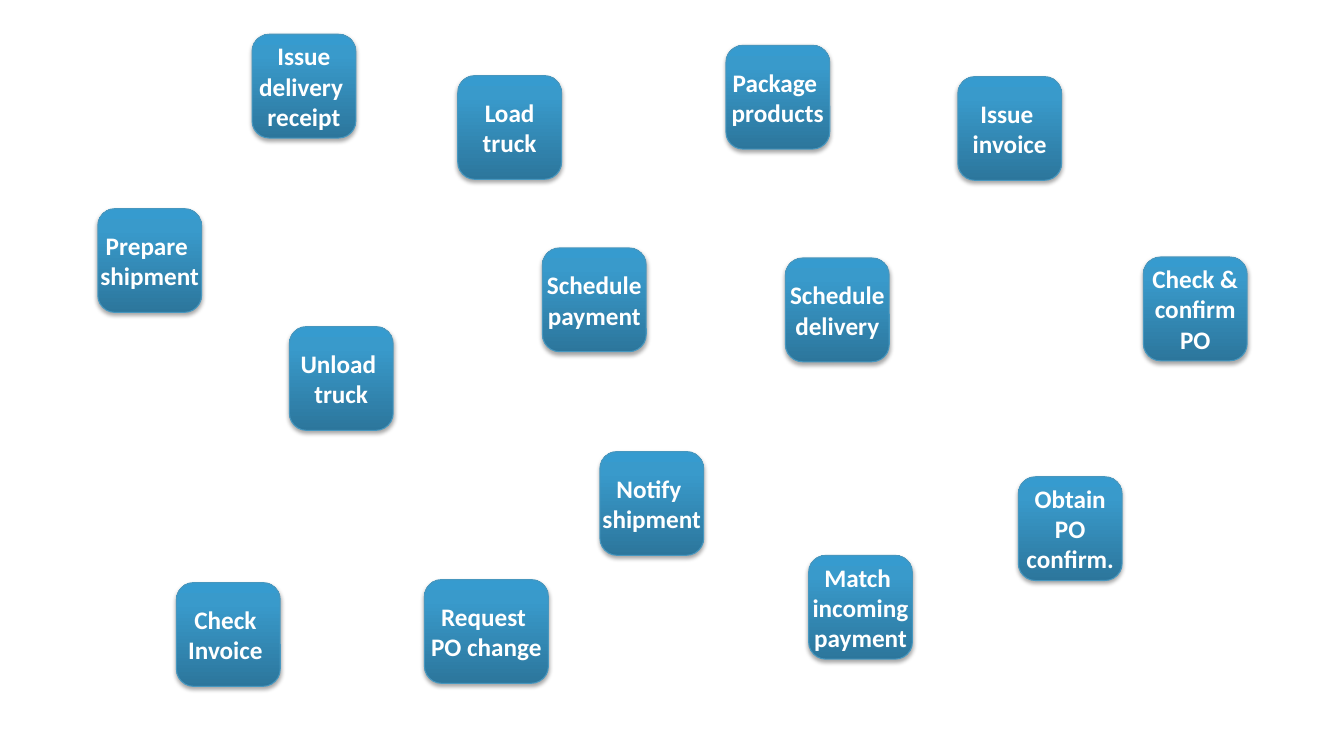
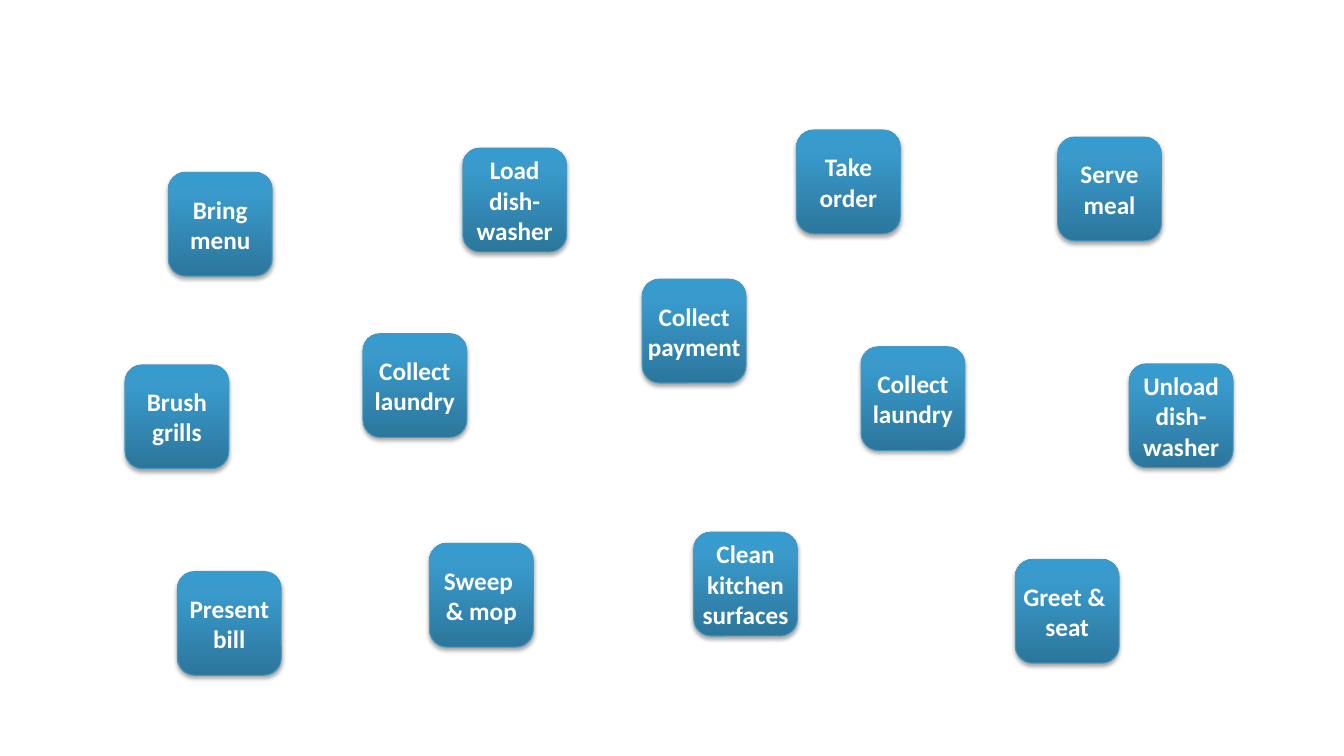
from copy import deepcopy

from lxml import etree
from pptx import Presentation
from pptx.dml.color import RGBColor
from pptx.enum.shapes import MSO_SHAPE
from pptx.enum.text import MSO_ANCHOR, PP_ALIGN
from pptx.oxml.ns import qn
from pptx.util import Inches, Pt

ROUNDED = MSO_SHAPE.ROUNDED_RECTANGLE
MIDDLE = MSO_ANCHOR.MIDDLE
CENTER = PP_ALIGN.CENTER
BLANK_LAYOUT = 6

# Shared card style
CARD_WIDTH, CARD_HEIGHT = 1.03, 1.03
WIDE_CARD = 1.23
GRADIENT = [(0, "2C769C"), (0.8, "399ACB"), (1, "369BCF")]
OUTLINE = "4797BF"
SHADOW = "000000"
TEXT_COLOR = "FFFFFF"
TEXT_FORMAT = {"name": "Calibri", "size": Pt(18), "bold": True}

# Cards: left, top, label (\n starts a paragraph, \v breaks a line), width if wide
ORDER_TASKS = [
    (10.1, 4.73, "Obtain\nPO\nconfirm."),
    (0.97, 2.07, "Prepare \nshipment"),
    (7.79, 2.56, "Schedule\ndelivery"),
    (9.5, 0.76, "Issue \ninvoice"),
    (1.75, 5.78, "Check \nInvoice "),
    (4.54, 0.75, "Load\ntruck"),
    (11.34, 2.55, "Check &\nconfirm\vPO"),
    (5.95, 4.48, "Notify \nshipment"),
    (2.87, 3.24, "Unload \ntruck"),
    (7.2, 0.45, "Package \nproducts"),
    (2.5, 0.34, "Issue\ndelivery \nreceipt"),
    (4.21, 5.75, "Request \nPO change", WIDE_CARD),
    (8.02, 5.51, "Match \nincoming\npayment"),
    (5.38, 2.46, "Schedule\npayment"),
]
RESTAURANT_TASKS = [
    (10.07, 5.55, "Greet & \nseat"),
    (1.67, 1.71, "Bring\nmenu"),
    (7.9, 1.29, "Take\norder"),
    (10.49, 1.36, "Serve\nmeal"),
    (1.76, 5.67, "Present\nbill"),
    (6.37, 2.77, "Collect\npayment"),
    (4.59, 1.47, "Load\ndish-\vwasher"),
    (11.2, 3.61, "Unload\ndish-\nwasher"),
    (6.88, 5.28, "Clean\nkitchen\nsurfaces"),
    (3.6, 3.31, "Collect\nlaundry"),
    (4.26, 5.39, "Sweep \n& mop"),
    (8.54, 3.44, "Collect\nlaundry"),
    (1.24, 3.62, "Brush\ngrills"),
]


def color(value):
    return RGBColor.from_string(value)


def fill_gradient(shape):
    """Fill from the bottom edge upwards."""
    shape.fill.gradient()
    shape.fill.gradient_angle = 90
    stop_list = shape._element.spPr.find(".//" + qn("a:gsLst"))
    while len(stop_list) < len(GRADIENT):
        stop_list.append(deepcopy(stop_list[0]))
    for stop, (position, value) in zip(shape.fill.gradient_stops, GRADIENT):
        stop.position = position
        stop.color.rgb = color(value)


def add_shadow(shape):
    """Cast a soft shadow straight down."""
    shape.shadow.inherit = False
    effects = shape._element.spPr.find(qn("a:effectLst"))
    outer = etree.SubElement(
        effects, qn("a:outerShdw"), blurRad=str(Pt(3.1)), dist=str(Pt(1.8)),
        dir="5400000", rotWithShape="0")
    tint = etree.SubElement(outer, qn("a:srgbClr"), val=SHADOW)
    etree.SubElement(tint, qn("a:alpha"), val="35000")


def write_label(shape, label):
    frame = shape.text_frame
    frame.text = label
    frame.word_wrap = False
    frame.vertical_anchor = MIDDLE
    for para in frame.paragraphs:
        para.alignment = CENTER
        for span in para.runs:
            for key, value in TEXT_FORMAT.items():
                setattr(span.font, key, value)
            span.font.color.rgb = color(TEXT_COLOR)


def add_card(slide, left, top, label, width=CARD_WIDTH):
    card = slide.shapes.add_shape(
        ROUNDED, Inches(left), Inches(top), Inches(width), Inches(CARD_HEIGHT))
    fill_gradient(card)
    card.line.color.rgb = color(OUTLINE)
    card.line.width = Pt(0.75)
    add_shadow(card)
    write_label(card, label)


def add_task_slide(deck, tasks):
    slide = deck.slides.add_slide(deck.slide_layouts[BLANK_LAYOUT])
    for task in tasks:
        add_card(slide, *task)


def main():
    deck = Presentation()
    deck.slide_width, deck.slide_height = Inches(13.33), Inches(7.5)
    for tasks in (ORDER_TASKS, RESTAURANT_TASKS):
        add_task_slide(deck, tasks)
    deck.save("out.pptx")


if __name__ == "__main__":
    main()
